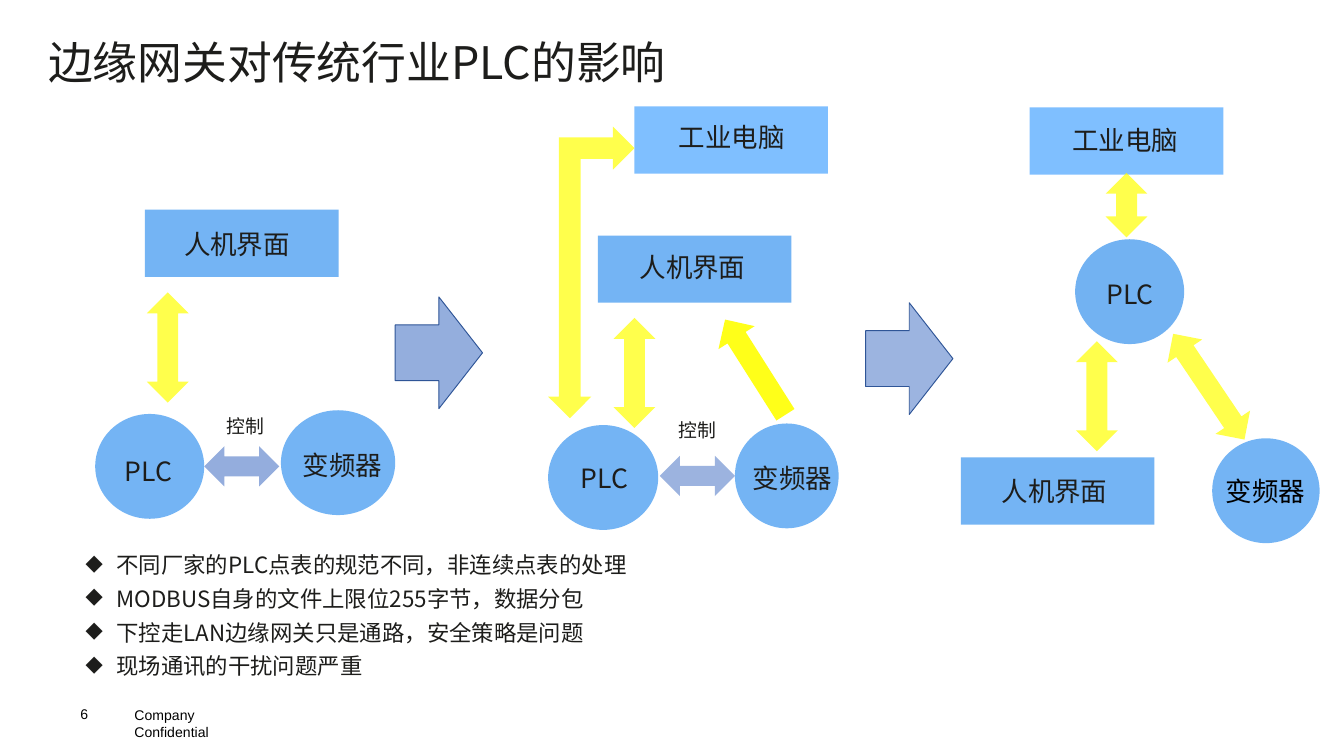
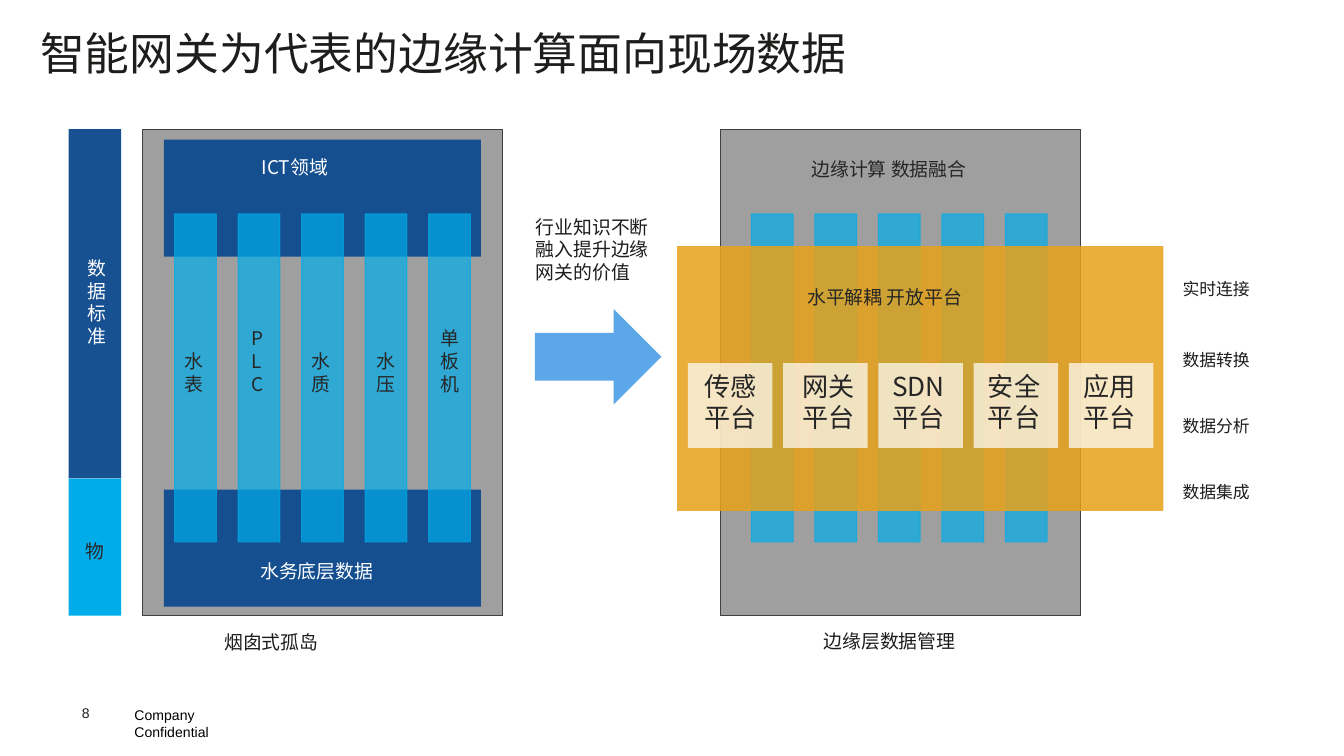
import lxml.etree
import pptx
import pptx.dml.color
import pptx.enum.shapes
import pptx.enum.text
import pptx.oxml.ns
import pptx.util

Cm = pptx.util.Cm
Pt = pptx.util.Pt
qn = pptx.oxml.ns.qn
MSO_SHAPE = pptx.enum.shapes.MSO_SHAPE
color = pptx.dml.color.RGBColor.from_string

CJK_FONT = "Noto Sans CJK SC"
INK = "1D1D1B"
DARK_GRAY = "262626"
WHITE = "FFFFFF"
BLACK = "000000"
NODE_BLUE = "74B4F4"
COMPUTER_BLUE = "0080FF"
STEP_BLUE = "8FAADC"
STEP_OUTLINE = "2F5597"
YELLOW = "FFFF00"
NAVY = "134E90"
CYAN = "00ADEA"
PANEL_GRAY = "404040"
AMBER = "E6A21A"
NODE_INSET = (0.18, 0.08)


def add_block(slide, kind, box, fill, alpha=100, line=None, line_alpha=100, rotation=0):
    shape = slide.shapes.add_shape(kind, *[Cm(length) for length in box])
    shape.shadow.inherit = False
    shape.rotation = rotation
    shape.fill.solid()
    shape.fill.fore_color.rgb = color(fill)
    if line:
        shape.line.color.rgb = color(line)
        shape.line.width = Pt(0.5)
    else:
        shape.line.fill.background()
    paints = shape._element.spPr.iter(qn("a:srgbClr"))
    for paint, percent in zip(list(paints), (alpha, line_alpha)):
        if percent < 100:
            lxml.etree.SubElement(paint, qn("a:alpha"), val=str(percent * 1000))


def add_text(slide, box, lines, size, ink=INK, inset=(0.25, 0.13), font=CJK_FONT, bullet=None):
    textbox = slide.shapes.add_textbox(*[Cm(length) for length in box])
    frame = textbox.text_frame
    frame.word_wrap = True
    frame.margin_left = frame.margin_right = Cm(inset[0])
    frame.margin_top = frame.margin_bottom = Cm(inset[1])
    for index, line in enumerate(lines):
        paragraph = frame.add_paragraph() if index else frame.paragraphs[0]
        if bullet:
            properties = paragraph._p.get_or_add_pPr()
            properties.set("marL", str(Cm(0.58)))
            properties.set("indent", str(-Cm(0.58)))
            lxml.etree.SubElement(properties, qn("a:buChar"), char=bullet)
            paragraph.line_spacing = 1.25
        run = paragraph.add_run()
        run.text = line
        run.font.size = Pt(size)
        run.font.color.rgb = color(ink)
        run.font.name = font
        lxml.etree.SubElement(run.font._element, qn("a:ea"), typeface=font)
    return frame


presentation = pptx.Presentation()
presentation.slide_width = Cm(25.4)
presentation.slide_height = Cm(14.28)

pages = [
    ("边缘网关对传统行业PLC的影响", (0.66, 0.53, 12.34, 1.27), "6", (1.52, 13.11), BLACK),
    ("智能网关为代表的边缘计算面向现场数据", (0.51, 0.36, 19.81, 1.27), "8", (1.55, 13.08), INK),
]
slides = []
for title, title_box, number, number_place, number_ink in pages:
    slide = presentation.slides.add_slide(presentation.slide_layouts[6])
    add_text(slide, (2.29, 13.21, 3.05, 0.58), ["Company Confidential"], 7.5, BLACK, font="Arial")
    frame = add_text(slide, (*number_place, 0.91, 0.76), [number], 7.5, number_ink, (0, 0), "Arial")
    frame.vertical_anchor = pptx.enum.text.MSO_ANCHOR.MIDDLE
    add_text(slide, title_box, [title], 24)
    slides.append(slide)
plc_slide, gateway_slide = slides

panels = [
    ("人机界面", (2.74, 3.96), (3.3, 4.22), NODE_BLUE, 100),
    ("人机界面", (11.3, 4.45), (11.91, 4.67), NODE_BLUE, 100),
    ("人机界面", (18.16, 8.64), (18.75, 8.89), NODE_BLUE, 100),
    ("工业电脑", (11.99, 2.01), (12.65, 2.21), COMPUTER_BLUE, 50),
    ("工业电脑", (19.46, 2.03), (20.09, 2.26), COMPUTER_BLUE, 50),
]
for label, place, label_place, fill, alpha in panels:
    add_block(plc_slide, MSO_SHAPE.RECTANGLE, (*place, 3.66, 1.27), fill, alpha)
    add_text(plc_slide, (*label_place, 2.8, 0.79), [label], 14.2, inset=NODE_INSET)

devices = [
    ("PLC", (1.8, 7.82, 2.06), (2.18, 8.51, 1.37), NODE_BLUE, INK),
    ("变频器", (5.31, 7.75, 2.16), (5.54, 8.41, 2.18), NODE_BLUE, INK),
    ("PLC", (10.36, 8.03, 2.08), (10.8, 8.64, 1.37), NODE_BLUE, INK),
    ("变频器", (13.89, 8, 1.96), (14.05, 8.64, 2.18), NODE_BLUE, INK),
    ("PLC", (20.32, 4.52, 2.06), (20.73, 5.18, 1.37), "72B2F2", INK),
    ("变频器", (22.91, 8.28, 2.03), (22.99, 8.89, 2.18), NODE_BLUE, BLACK),
]
for label, circle, label_box, fill, ink in devices:
    add_block(plc_slide, MSO_SHAPE.OVAL, (*circle, 1.98), fill)
    add_text(plc_slide, (*label_box, 0.79), [label], 14.2, ink, NODE_INSET)

for place, alpha in [((7.47, 5.61), 95), ((16.36, 5.72), 88)]:
    add_block(plc_slide, MSO_SHAPE.RIGHT_ARROW, (*place, 1.65, 2.11), STEP_BLUE, alpha, STEP_OUTLINE)

controls = [
    ((3.86, 8.43), (4.11, 7.75), "94ADDD"),
    ((12.47, 8.61), (12.65, 7.82), "9CB3DF"),
]
for place, label_place, fill in controls:
    add_block(plc_slide, MSO_SHAPE.LEFT_RIGHT_ARROW, (*place, 1.42, 0.76), fill)
    add_text(plc_slide, (*label_place, 1.22, 0.61), ["控制"], 10.1, inset=NODE_INSET)

data_links = [
    (MSO_SHAPE.UP_ARROW, (13.87, 5.87, 0.81, 2.13), 327.6, 90),
    (MSO_SHAPE.LEFT_RIGHT_ARROW, (2.13, 6.17, 2.08, 0.79), 90, 70),
    (MSO_SHAPE.LEFT_RIGHT_ARROW, (10.95, 6.65, 2.08, 0.79), 90, 70),
    (MSO_SHAPE.LEFT_RIGHT_ARROW, (19.69, 7.09, 2.08, 0.79), 90, 70),
    (MSO_SHAPE.LEFT_RIGHT_ARROW, (20.68, 3.48, 1.22, 0.79), 90, 70),
    (MSO_SHAPE.LEFT_RIGHT_ARROW, (21.64, 6.91, 2.41, 0.79), 56, 70),
    (MSO_SHAPE.LEFT_UP_ARROW, (10.36, 2.39, 1.63, 5.51), 180, 70),
]
for kind, box, rotation, alpha in data_links:
    add_block(plc_slide, kind, box, YELLOW, alpha, rotation=rotation)

issues = [
    "不同厂家的PLC点表的规范不同，非连续点表的处理",
    "MODBUS自身的文件上限位255字节，数据分包",
    "下控走LAN边缘网关只是通路，安全策略是问题",
    "现场通讯的干扰问题严重",
]
add_text(plc_slide, (1.37, 10.16, 12.4, 3.25), issues, 12, bullet="◆")

add_block(gateway_slide, MSO_SHAPE.RECTANGLE, (1.3, 2.44, 0.99, 6.6), NAVY, 98)
add_block(gateway_slide, MSO_SHAPE.RECTANGLE, (1.3, 9.04, 0.99, 2.59), CYAN)
for left in (2.69, 13.61):
    add_block(gateway_slide, MSO_SHAPE.RECTANGLE, (left, 2.44, 6.81, 9.19), PANEL_GRAY, 50, PANEL_GRAY)
for top in (2.64, 9.25):
    add_block(gateway_slide, MSO_SHAPE.RECTANGLE, (3.1, top, 5.99, 2.21), NAVY, 98)
for first_left in (3.3, 14.2):
    for index in range(5):
        box = (first_left + 1.2 * index, 4.04, 0.79, 6.2)
        add_block(gateway_slide, MSO_SHAPE.RECTANGLE, box, CYAN, 70, CYAN, 70)
add_block(gateway_slide, MSO_SHAPE.RECTANGLE, (12.8, 4.65, 9.19, 5), AMBER, 86)
add_block(gateway_slide, MSO_SHAPE.RIGHT_ARROW, (10.11, 5.84, 2.39, 1.8), "1882DD", 70)

platforms = [("传感平台", 13.06), ("网关平台", 14.91), ("SDN平台", 16.61), ("安全平台", 18.42), ("应用平台", 20.22)]
for index, (platform, label_left) in enumerate(platforms):
    add_block(gateway_slide, MSO_SHAPE.RECTANGLE, (13 + 1.8 * index, 6.86, 1.6, 1.6), WHITE, 70)
    add_text(gateway_slide, (label_left, 6.86, 1.6, 1.47), [platform], 14, DARK_GRAY)

silos = [("水表", 3.23), ("PLC", 4.5), ("水质", 5.64), ("水压", 6.86), ("单板机", 8.08)]
for silo, left in silos:
    box = (left, 7.34 - 0.43 * len(silo), 0.61, 0.26 + 0.43 * len(silo))
    add_text(gateway_slide, box, [silo], 10.1, DARK_GRAY)

captions = [
    ("数据标准", (1.4, 4.72, 0.61, 1.98), WHITE),
    ("物", (1.37, 10.06, 0.61, 0.69), DARK_GRAY),
    ("ICT领域", (4.7, 2.82, 3.99, 0.69), WHITE),
    ("水务底层数据", (4.67, 10.44, 4.6, 0.69), WHITE),
    ("边缘计算 数据融合", (15.09, 2.84, 6.2, 0.69), DARK_GRAY),
    ("水平解耦 开放平台", (15.01, 5.26, 5.99, 0.69), DARK_GRAY),
    ("烟囱式孤岛", (3.99, 11.79, 5.41, 0.69), INK),
    ("边缘层数据管理", (15.32, 11.76, 5.41, 0.69), INK),
    ("行业知识不断融入提升边缘网关的价值", (9.88, 3.94, 2.72, 1.55), INK),
]
for caption, box, ink in captions:
    add_text(gateway_slide, box, [caption], 10.1, ink)

services = [("实时连接", 5.13), ("数据转换", 6.48), ("数据分析", 7.72), ("数据集成", 8.97)]
for service, top in services:
    add_text(gateway_slide, (22.1, top, 1.98, 0.84), [service], 9)

presentation.save("out.pptx")
